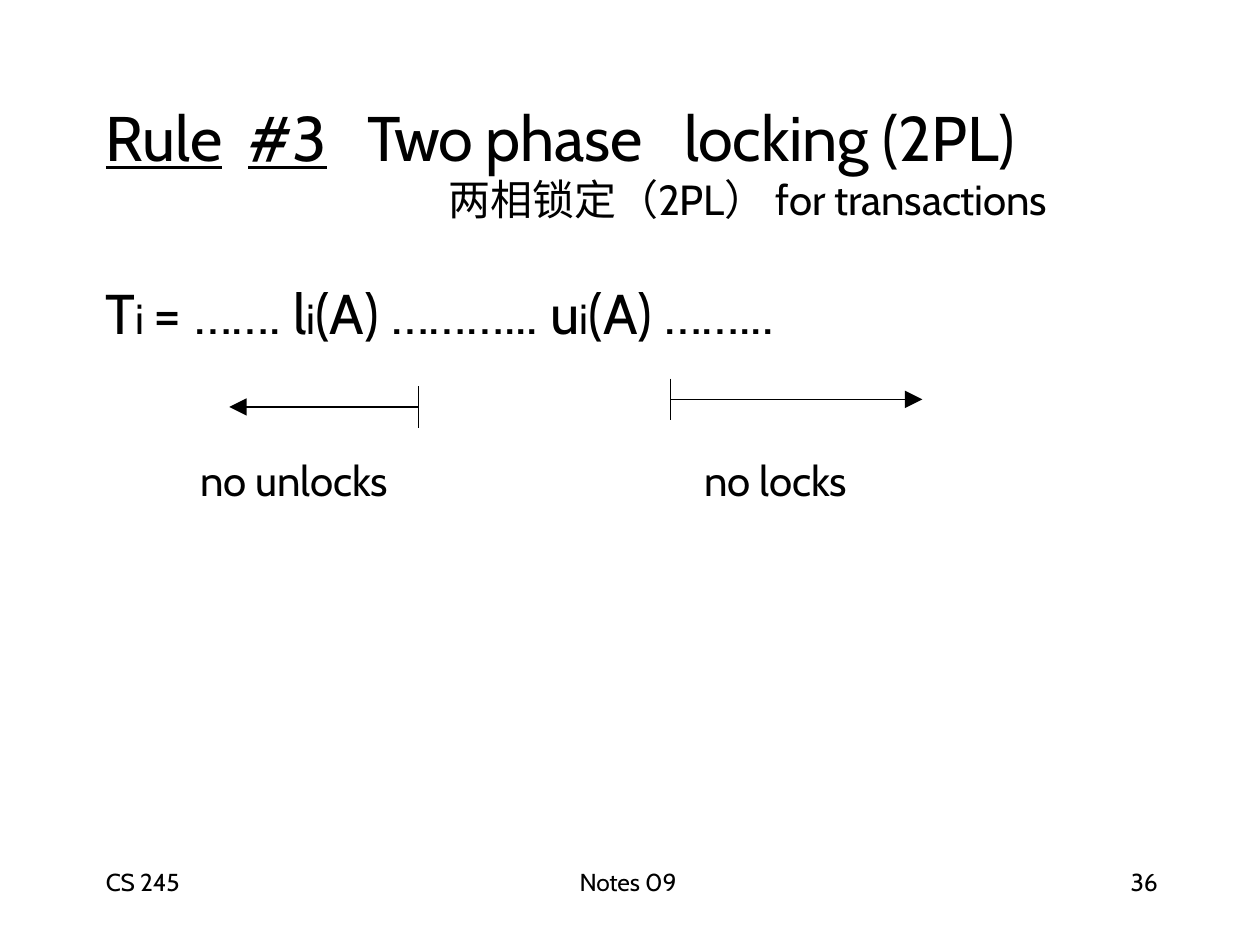
"""Build the slide that states the two phase locking rule."""
from dataclasses import dataclass

from lxml.etree import SubElement
from pptx import Presentation
from pptx.dml.color import RGBColor
from pptx.enum.shapes import MSO_CONNECTOR as Connector
from pptx.enum.text import MSO_ANCHOR as Anchor, MSO_AUTO_SIZE as AutoSize, PP_ALIGN as Align
from pptx.oxml.ns import qn
from pptx.util import Inches, Pt


@dataclass(frozen=True)
class Theme:
    """Font, colour and type sizes of the slide."""
    font: str = "Cabin"
    ink: RGBColor = RGBColor(0, 0, 0)
    title: int = 36
    formula: int = 32
    label: int = 24
    footer: int = 14
    line: float = 0.75


@dataclass(frozen=True)
class Label:
    """A short line of text and its place."""
    text: str
    left: float
    top: float
    width: float
    height: float
    size: int


@dataclass(frozen=True)
class Phase:
    """An arrow that starts at the middle of an upright tick."""
    start: float
    end: float
    middle: float


THEME = Theme()
TICK_HEIGHT = 0.33
TITLE_TABS = (1.13, 2.08, 4.59)

PHASES = (Phase(3.32, 1.82, 3.23), Phase(5.32, 7.32, 3.17))
LABELS = (
    Label("no unlocks", 1.59, 3.6, 1.6, 0.43, THEME.label),
    Label("no locks", 5.59, 3.6, 1.23, 0.43, THEME.label),
    Label("CS 245", 0.84, 6.87, 0.63, 0.26, THEME.footer),
    Label("Notes 09", 4.6, 6.87, 0.79, 0.26, THEME.footer),
)
PAGE_NUMBER = Label("36", 8.79, 6.87, 0.4, 0.26, THEME.footer)
FORMULA = (
    ("T", THEME.formula), ("i ", THEME.label), ("= ……. l", THEME.formula),
    ("i", THEME.label), ("(A) ………... u", THEME.formula),
    ("i", THEME.label), ("(A) ……...", THEME.formula),
)


def add_text(paragraph, text: str, *, size: int, underline: bool = False,
             spacing: float = -0.1) -> None:
    """Append one formatted run to a paragraph."""
    run = paragraph.add_run()
    run.text = text
    font = run.font
    font.name, font.size, font.underline = THEME.font, Pt(size), underline
    font.color.rgb = THEME.ink
    font._element.set("spc", str(round(spacing * 100)))


def prepare_frame(frame) -> None:
    """Give a text frame tight margins and top anchoring."""
    frame.margin_left = frame.margin_right = frame.margin_bottom = 0
    frame.margin_top = Inches(0.01)
    frame.word_wrap = True
    frame.auto_size = AutoSize.NONE
    frame.vertical_anchor = Anchor.TOP


def add_box(slide, left: float, top: float, width: float, height: float):
    """Add a text box and return its first paragraph."""
    box = slide.shapes.add_textbox(Inches(left), Inches(top), Inches(width), Inches(height))
    prepare_frame(box.text_frame)
    return box.text_frame.paragraphs[0]


def add_label(slide, label: Label, align: Align = Align.LEFT) -> None:
    """Draw one label."""
    paragraph = add_box(slide, label.left, label.top, label.width, label.height)
    paragraph.alignment = align
    add_text(paragraph, label.text, size=label.size)


def add_line(slide, x1: float, y1: float, x2: float, y2: float, arrow: bool = False) -> None:
    """Draw a straight line, with an arrowhead at its end if asked."""
    connector = slide.shapes.add_connector(
        Connector.STRAIGHT, Inches(x1), Inches(y1), Inches(x2), Inches(y2))
    connector.line.color.rgb = THEME.ink
    connector.line.width = Pt(THEME.line)
    if arrow:
        SubElement(connector.line._get_or_add_ln(), qn("a:tailEnd"), type="triangle", w="lg", len="lg")
    SubElement(connector._element.spPr, qn("a:effectLst"))


def add_phase(slide, phase: Phase) -> None:
    """Draw the tick and arrow of one phase."""
    half = TICK_HEIGHT / 2
    add_line(slide, phase.start, phase.middle, phase.end, phase.middle, arrow=True)
    add_line(slide, phase.start, phase.middle - half, phase.start, phase.middle + half)


def fill_title(title) -> None:
    """Place the title and write its two lines."""
    title.left, title.top = Inches(0.84), Inches(0.77)
    title.width, title.height = Inches(7.47), Inches(1.03)
    prepare_frame(title.text_frame)
    rule = title.text_frame.paragraphs[0]
    tabs = SubElement(rule._p.get_or_add_pPr(), qn("a:tabLst"))
    for position in TITLE_TABS:
        SubElement(tabs, qn("a:tab"), pos=str(Inches(position)), algn="l")
    rule.alignment = Align.LEFT
    add_text(rule, "Rule", size=THEME.title, underline=True)
    add_text(rule, "\t", size=THEME.title)
    add_text(rule, "#3", size=THEME.title, underline=True, spacing=0)
    add_text(rule, "\t", size=THEME.title)
    add_text(rule, "Two ", size=THEME.title, spacing=-1.1)
    add_text(rule, "phase\tlocking (2PL)", size=THEME.title)
    subject = title.text_frame.add_paragraph()
    subject.alignment = Align.RIGHT
    add_text(subject, "两相锁定（2PL） for transactions", size=THEME.label)


def main() -> None:
    """Build and save the slide."""
    deck = Presentation()
    deck.slide_width, deck.slide_height = Inches(10), Inches(7.5)
    slide = deck.slides.add_slide(deck.slide_layouts.get_by_name("Title Only"))
    fill_title(slide.shapes.title)
    formula = add_box(slide, 0.84, 2.2, 6.69, 0.56)
    for text, size in FORMULA:
        add_text(formula, text, size=size)
    for phase in PHASES:
        add_phase(slide, phase)
    for label in LABELS:
        add_label(slide, label)
    add_label(slide, PAGE_NUMBER, Align.RIGHT)
    deck.save("out.pptx")


if __name__ == "__main__":
    main()
